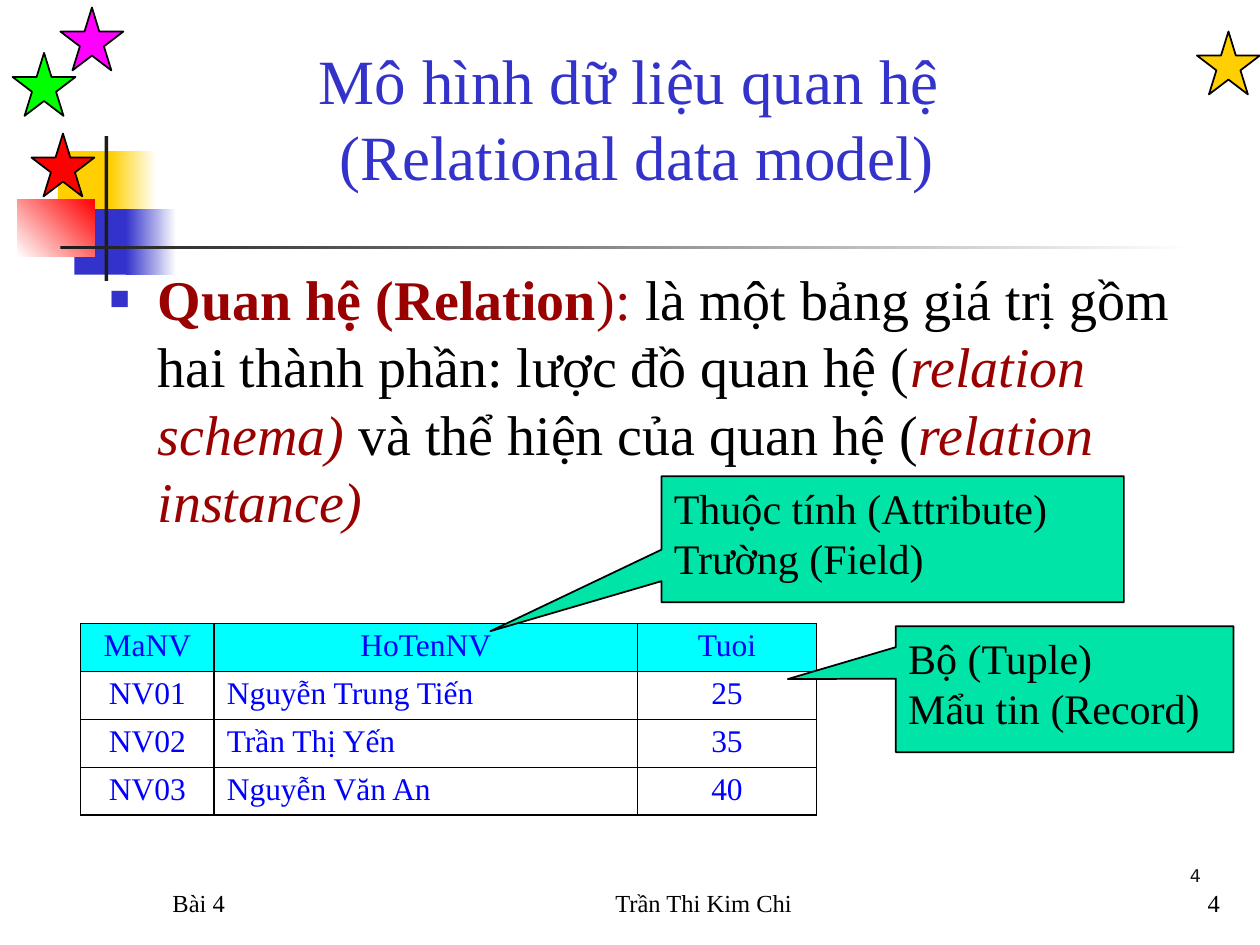
from dataclasses import dataclass

from lxml.etree import SubElement
from pptx import Presentation
from pptx.dml.color import RGBColor
from pptx.enum.shapes import MSO_SHAPE
from pptx.enum.text import MSO_ANCHOR, MSO_AUTO_SIZE, PP_ALIGN
from pptx.oxml.ns import qn
from pptx.util import Inches, Pt


@dataclass(frozen=True)
class Theme:
    serif: str = "Times New Roman"
    sans: str = "DejaVu Sans"
    black: str = "000000"
    white: str = "FFFFFF"
    dark: str = "1C1C1C"
    number: str = "151515"
    blue: str = "3333CC"
    gold: str = "FFCF01"
    red: str = "FF0000"
    green: str = "00FF00"
    magenta: str = "FF00FF"
    maroon: str = "990000"
    table_text: str = "0000FF"
    header: str = "00FFFF"
    callout: str = "00E4A8"
    title_size: int = 36
    body_size: int = 32
    callout_size: int = 24
    table_size: int = 18
    footer_size: int = 14
    number_size: int = 10


T = Theme()

BLOCKS = [  # box, start colour, end colour (None for solid), angle
    ((0.46, 1.2, 0.48, 0.52), T.gold, None, 0),
    ((0.88, 1.2, 0.36, 0.52), T.gold, T.white, 0),
    ((0.59, 1.66, 0.46, 0.52), T.blue, None, 0),
    ((1, 1.66, 0.4, 0.52), T.blue, T.white, 0),
    ((0.14, 1.58, 0.61, 0.46), T.white, T.red, 45),
    ((0.83, 1.08, 0.03, 1.15), T.dark, None, 0),
    ((0.48, 1.95, 9, 0.03), T.dark, T.white, 0),
]
STARS = [(9.5, 0.25, T.gold), (0.25, 1.06, T.red),
         (0.1, 0.42, T.green), (0.48, 0.06, T.magenta)]
DEFINITION = [  # text, colour, bold, italic
    ("Quan hệ (Relation", T.maroon, True, False),
    ("): ", T.maroon, False, False),
    ("là một bảng giá trị gồm hai thành phần: lược đồ quan hệ (", T.black, False, False),
    ("relation schema) ", T.maroon, False, True),
    ("và thể hiện của quan hệ (", T.black, False, False),
    ("relation instance)", T.maroon, False, True),
]
EMPLOYEES = [
    ("MaNV", "HoTenNV", "Tuoi"),
    ("NV01", "Nguyễn Trung Tiến", "25"),
    ("NV02", "Trần Thị Yến", "35"),
    ("NV03", "Nguyễn Văn An", "40"),
]
COLUMN_WIDTHS = (1.06, 3.36, 1.42)
ROW_HEIGHT = 0.38


def rgb(color):
    return RGBColor.from_string(color)


def inches(box):
    return [Inches(v) for v in box]


def place(sp, box):
    sp.left, sp.top, sp.width, sp.height = inches(box)


def add_run(p, text, size, color, font=T.serif, bold=False, italic=False):
    r = p.add_run()
    r.text = text
    f = r.font
    f.name, f.size, f.bold, f.italic = font, Pt(size), bold, italic
    f.color.rgb = rgb(color)


def add_preset(s, kind, box, color, outlined=False):
    sp = s.shapes.add_shape(kind, *inches(box))
    sp.shadow.inherit = False
    sp.fill.solid()
    sp.fill.fore_color.rgb = rgb(color)
    if outlined:
        sp.line.color.rgb = rgb(T.black)
        sp.line.width = Pt(1)
    else:
        sp.line.fill.background()
    return sp


def add_block(s, box, start, end, angle):
    sp = add_preset(s, MSO_SHAPE.RECTANGLE, box, start)
    if end:
        sp.fill.gradient()
        sp.fill.gradient_angle = angle
        for stop, color in zip(sp.fill.gradient_stops, (start, end)):
            stop.color.rgb = rgb(color)


def add_callout(s, box, tip, lines):
    """Tip is the pointer's offset from the centre, as fractions of the size."""
    sp = add_preset(s, MSO_SHAPE.RECTANGULAR_CALLOUT, box, T.callout, outlined=True)
    sp.adjustments[0], sp.adjustments[1] = tip
    tf = sp.text_frame
    tf.word_wrap = True
    tf.vertical_anchor = MSO_ANCHOR.TOP
    for i, line in enumerate(lines):
        p = tf.add_paragraph() if i else tf.paragraphs[0]
        p.alignment = PP_ALIGN.LEFT
        add_run(p, line, T.callout_size, T.black)


def add_label(s, box, text, align, size=T.footer_size, color=T.black, font=T.serif):
    tf = s.shapes.add_textbox(*inches(box)).text_frame
    tf.word_wrap = True
    tf.vertical_anchor = MSO_ANCHOR.BOTTOM
    p = tf.paragraphs[0]
    p.alignment = align
    add_run(p, text, size, color, font)


def fill_title(sp):
    place(sp, (0.58, 0.58, 8.95, 1))
    tf = sp.text_frame
    tf.auto_size = MSO_AUTO_SIZE.NONE
    tf.vertical_anchor = MSO_ANCHOR.BOTTOM
    p = tf.paragraphs[0]
    p.alignment = PP_ALIGN.CENTER
    add_run(p, "Mô hình dữ liệu quan hệ ", T.title_size, T.blue)
    p.add_line_break()
    add_run(p, "(Relational data model)", T.title_size, T.blue)


def set_bullet(p, char, color, percent, indent):
    pPr = p._p.get_or_add_pPr()
    pPr.set("marL", str(Inches(indent)))
    pPr.set("indent", str(Inches(-indent)))
    SubElement(SubElement(pPr, qn("a:buClr")), qn("a:srgbClr"), val=color)
    SubElement(pPr, qn("a:buSzPct"), val=str(percent * 1000))
    SubElement(pPr, qn("a:buChar"), char=char)


def fill_body(sp):
    place(sp, (0.67, 2, 8.83, 5.5))
    tf = sp.text_frame
    tf.auto_size = MSO_AUTO_SIZE.NONE
    tf.margin_left, tf.margin_top, tf.margin_right, tf.margin_bottom = inches(
        (0.2, 0.1, 0.1, 0.05))
    p = tf.paragraphs[0]
    set_bullet(p, "■", T.blue, 60, 0.38)
    p.space_before = Pt(0)
    for text, color, bold, italic in DEFINITION:
        add_run(p, text, T.body_size, color, bold=bold, italic=italic)


def set_borders(cell):
    tcPr = cell._tc.get_or_add_tcPr()
    for i, side in enumerate(("lnL", "lnR", "lnT", "lnB")):
        ln = tcPr.makeelement(qn(f"a:{side}"), {"w": str(Pt(1))})
        SubElement(SubElement(ln, qn("a:solidFill")), qn("a:srgbClr"), val=T.black)
        tcPr.insert(i, ln)


def add_employee_table(s):
    box = (0.64, 4.95, sum(COLUMN_WIDTHS), ROW_HEIGHT * len(EMPLOYEES))
    table = s.shapes.add_table(len(EMPLOYEES), len(COLUMN_WIDTHS), *inches(box)).table
    table.first_row = table.horz_banding = False
    for column, width in zip(table.columns, COLUMN_WIDTHS):
        column.width = Inches(width)
    for i, values in enumerate(EMPLOYEES):
        table.rows[i].height = Inches(ROW_HEIGHT)
        for j, value in enumerate(values):
            cell = table.cell(i, j)
            cell.margin_top = cell.margin_bottom = Inches(0.04)
            cell.fill.solid()
            cell.fill.fore_color.rgb = rgb(T.white if i else T.header)
            set_borders(cell)
            p = cell.text_frame.paragraphs[0]
            p.alignment = PP_ALIGN.LEFT if i and j == 1 else PP_ALIGN.CENTER
            add_run(p, value, T.table_size, T.table_text)


def main():
    prs = Presentation()
    prs.slide_width, prs.slide_height = Inches(10), Inches(7.5)
    s = prs.slides.add_slide(prs.slide_layouts[1])
    for block in BLOCKS:
        add_block(s, *block)
    for left, top, color in STARS:
        add_preset(s, MSO_SHAPE.STAR_5_POINT, (left, top, 0.5, 0.5), color, outlined=True)
    fill_title(s.shapes.title)
    fill_body(s.placeholders[1])
    add_label(s, (9.13, 6.68, 0.5, 0.4), "4", PP_ALIGN.RIGHT,
              T.number_size, T.number, T.sans)
    add_employee_table(s)
    add_label(s, (1.27, 6.83, 2.08, 0.5), "Bài 4", PP_ALIGN.LEFT)
    add_label(s, (4, 6.83, 3.17, 0.5), "Trần Thi Kim Chi", PP_ALIGN.CENTER)
    add_label(s, (7.7, 6.83, 2.08, 0.5), "4", PP_ALIGN.RIGHT)
    add_callout(s, (7.11, 4.97, 2.68, 1), (-0.82, -0.08),
                ("Bộ (Tuple)", "Mẩu tin (Record)"))
    add_callout(s, (5.25, 3.78, 3.67, 1), (-0.87, 0.73),
                ("Thuộc tính (Attribute)", "Trường (Field)"))
    prs.save("out.pptx")


if __name__ == "__main__":
    main()
